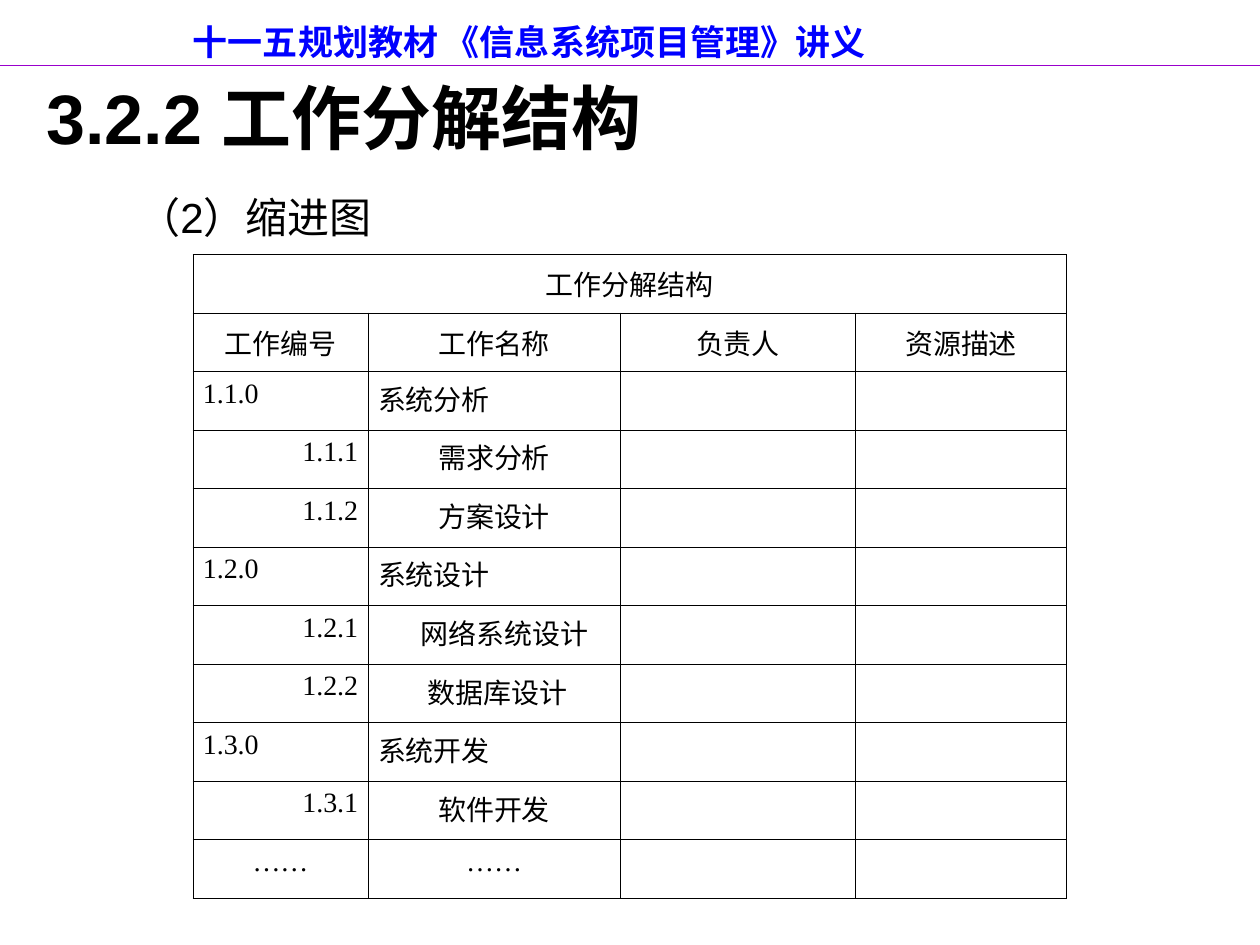
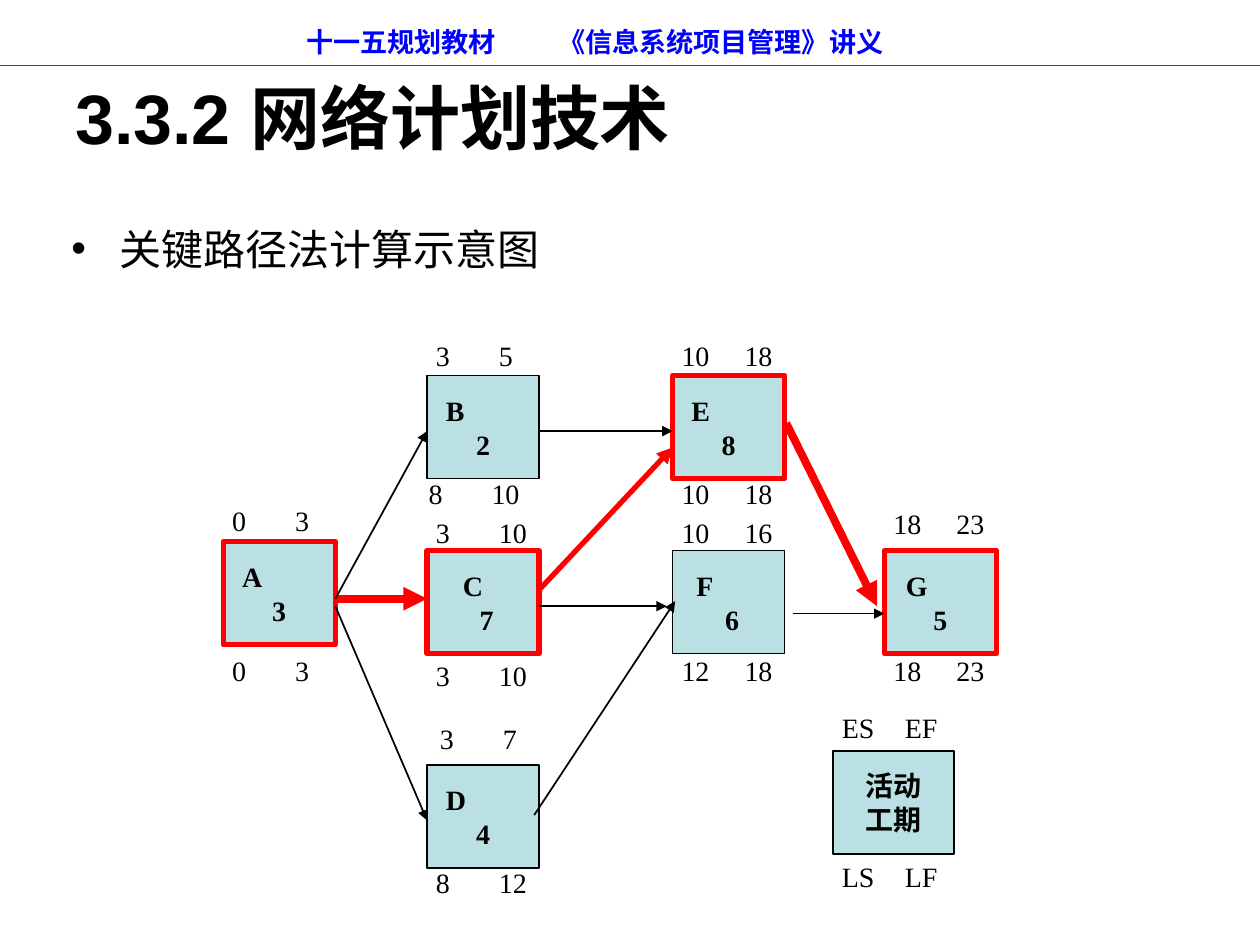
"""Build two lecture slides: an indented work breakdown table and a critical path network."""
import lxml.etree
import pptx
import pptx.dml.color
import pptx.enum.shapes
import pptx.enum.text
import pptx.oxml.ns
import pptx.util

Cm = pptx.util.Cm
Pt = pptx.util.Pt
ALIGN = pptx.enum.text.PP_ALIGN
ANCHOR = pptx.enum.text.MSO_ANCHOR

BLACK, BLUE, RED, PURPLE, PALE_TEAL = "000000", "0000FF", "FF0000", "9900CC", "BBE0E3"
SANS, SERIF = "Arial", "Times New Roman"

TABLE_TITLE = "工作分解结构"
TABLE_HEADINGS = ("工作编号", "工作名称", "负责人", "资源描述")
COLUMN_WIDTHS = (3.53, 5.08, 4.75, 4.25)
ROW_HEIGHT = 1.18
WORK_ITEMS = (
    ("1.1.0", "系统分析", 0),
    ("1.1.1", "需求分析", 0),
    ("1.1.2", "方案设计", 0),
    ("1.2.0", "系统设计", 0),
    ("1.2.1", "网络系统设计", 0.42),
    ("1.2.2", "数据库设计", 0.14),
    ("1.3.0", "系统开发", 0),
    ("1.3.1", "软件开发", 0),
    ("……", "……", 0),
)

NODE_WIDTH, NODE_HEIGHT = 2.26, 2.08
COLUMN_A, COLUMN_B, COLUMN_E, COLUMN_G, COLUMN_KEY = 4.5, 8.61, 13.56, 17.83, 16.79
NODES = (
    ("A", "3", COLUMN_A, 10.92, RED, 3, 0.2, 0),
    ("E", "8", COLUMN_E, 7.57, RED, 3, 0.2, 0),
    ("C", "7", COLUMN_B, 11.1, RED, 3, 0.54, 0.14),
    ("F", "6", COLUMN_E, 11.1, BLACK, 0.75, 0.3, 0.14),
    ("D", "4", COLUMN_B, 15.42, BLACK, 1, 0.2, 0),
    ("B", "2", COLUMN_B, 7.57, BLACK, 1, 0.2, 0),
    ("G", "5", COLUMN_G, 11.1, RED, 3, 0.25, 0),
)
ARROWS = (
    (6.76, 12.07, 8.61, 12.07, RED, 4.5),
    (10.87, 8.69, 13.56, 8.69, BLACK, 1),
    (15.98, 12.37, 17.83, 12.37, BLACK, 1),
    (10.87, 12.22, 13.44, 12.22, BLACK, 1),
    (6.76, 12.07, 8.61, 8.69, BLACK, 1),
    (6.76, 12.22, 8.61, 16.54, BLACK, 1),
    (15.85, 8.53, 17.68, 12.22, RED, 4.5),
    (10.77, 16.43, 13.61, 12.12, BLACK, 1),
    (10.87, 11.89, 13.56, 9.02, RED, 3),
)
TIME_TAB = 0.99
TIME_PAIRS = (
    ("0", "3", COLUMN_A, 10.06, 2.92, TIME_TAB),
    ("3", "5", COLUMN_B, 6.73, 3.33, 1.13),
    ("3", "10", COLUMN_B, 10.29, 3.33, TIME_TAB),
    ("3", "7", 8.69, 14.45, 2.49, TIME_TAB),
    ("10", "16", COLUMN_E, 10.29, NODE_WIDTH, TIME_TAB),
    ("10", "18", COLUMN_E, 6.73, NODE_WIDTH, TIME_TAB),
    ("18", "23", COLUMN_G, 10.11, NODE_WIDTH, TIME_TAB),
    ("18", "23", COLUMN_G, 13.08, NODE_WIDTH, TIME_TAB),
    ("12", "18", COLUMN_E, 13.08, NODE_WIDTH, TIME_TAB),
    ("10", "18", COLUMN_E, 9.5, NODE_WIDTH, TIME_TAB),
    ("8", "10", 8.46, 9.5, 2.72, 1.13),
    ("3", "10", COLUMN_B, 13.18, NODE_WIDTH, 0.85),
    ("8", "12", COLUMN_B, 17.35, 2.72, TIME_TAB),
    ("0", "3", COLUMN_A, 13.08, 2.92, TIME_TAB),
    ("ES", "EF", COLUMN_KEY, 14.22, 2.44, 1.08),
    ("LS", "LF", COLUMN_KEY, 17.22, 2.44, 1.08),
)


def colour(hex_text):
    """Return the colour for a hex string."""
    return pptx.dml.color.RGBColor.from_string(hex_text)


def add_element(parent, tag, **attributes):
    """Append a drawing element with the given attributes."""
    return lxml.etree.SubElement(parent, pptx.oxml.ns.qn(tag), attributes)


def style_paragraph(paragraph, size, font, bold=False, ink=BLACK, align=ALIGN.LEFT,
                    margin=0, indent=0, bullet=None, tab=None):
    """Set the layout of a paragraph and the font of its runs."""
    paragraph.alignment = align
    properties = paragraph._p.get_or_add_pPr()
    properties.set("marL", str(Cm(margin)))
    properties.set("indent", str(Cm(indent)))
    if bullet:
        add_element(properties, "a:buFont", typeface=SANS)
        add_element(properties, "a:buChar", char=bullet)
    else:
        add_element(properties, "a:buNone")
    if tab:
        tab_list = add_element(properties, "a:tabLst")
        add_element(tab_list, "a:tab", pos=str(Cm(tab)), algn="l")
    for run in paragraph.runs:
        run.font.size = Pt(size)
        run.font.name = font
        run.font.bold = bold
        run.font.color.rgb = colour(ink)


def set_margins(target, horizontal, vertical):
    """Set equal side margins and equal top and bottom margins."""
    target.margin_left = target.margin_right = Cm(horizontal)
    target.margin_top = target.margin_bottom = Cm(vertical)


def add_text(slide, text, left, top, width, height, size, font=SANS,
             anchor=ANCHOR.TOP, margins=(0.25, 0.13), **style):
    """Add a one-paragraph text box and return its text frame."""
    box = slide.shapes.add_textbox(Cm(left), Cm(top), Cm(width), Cm(height))
    frame = box.text_frame
    frame.word_wrap = True
    frame.vertical_anchor = anchor
    set_margins(frame, *margins)
    frame.text = text
    style_paragraph(frame.paragraphs[0], size, font, **style)
    return frame


def add_line(slide, start_x, start_y, end_x, end_y, ink, width, arrow=False):
    """Add a straight line, with an arrowhead at its end if wanted."""
    line = slide.shapes.add_connector(pptx.enum.shapes.MSO_CONNECTOR.STRAIGHT,
                                      Cm(start_x), Cm(start_y), Cm(end_x), Cm(end_y))
    line.line.color.rgb = colour(ink)
    line.line.width = Pt(width)
    properties = line._element.spPr
    if arrow:
        add_element(properties.find(pptx.oxml.ns.qn("a:ln")), "a:tailEnd", type="triangle")
    add_element(properties, "a:effectLst")


def add_frame(slide, title, title_left, title_width, header_size, first_start, second_start):
    """Add the running header, its rule and the slide title."""
    add_text(slide, title, title_left, 0.76, title_width, 3.18, 40,
             anchor=ANCHOR.MIDDLE, bold=True)
    header = add_text(slide, "十一五规划教材\t《信息系统项目管理》讲义", 2.54, 0.36, 22.86, 0.97,
                      header_size, anchor=ANCHOR.MIDDLE, bold=True, ink=BLUE,
                      tab=second_start - first_start)
    header.margin_left = Cm(first_start - 2.54)
    add_line(slide, 0, 1.32, 25.4, 1.32, PURPLE, 0.75)


def style_cell(cell):
    """Give a table cell thin black borders, no fill and narrow margins."""
    set_margins(cell, 0.2, 0.13)
    cell.fill.background()
    properties = cell._tc.get_or_add_tcPr()
    for position, tag in enumerate(("a:lnL", "a:lnR", "a:lnT", "a:lnB")):
        border = add_element(properties, tag, w=str(Pt(0.45)))
        fill = add_element(border, "a:solidFill")
        add_element(fill, "a:srgbClr", val=BLACK)
        properties.insert(position, border)


def fill_cell(cell, text, align, margin=0):
    """Write one line of text into a table cell."""
    cell.text_frame.text = text
    style_paragraph(cell.text_frame.paragraphs[0], 16, SERIF, align=align, margin=margin)


def item_alignment(number):
    """Return the number and name alignments for the level of a work item."""
    if number.endswith(".0"):
        return ALIGN.LEFT, ALIGN.LEFT
    if number[0].isdigit():
        return ALIGN.RIGHT, ALIGN.CENTER
    return ALIGN.CENTER, ALIGN.CENTER


def add_work_table(slide):
    """Add the work breakdown table."""
    row_count = len(WORK_ITEMS) + 2
    table = slide.shapes.add_table(row_count, len(COLUMN_WIDTHS), Cm(3.89), Cm(5.13),
                                   Cm(sum(COLUMN_WIDTHS)), Cm(ROW_HEIGHT * row_count)).table
    table.first_row = table.horz_banding = False
    for column, width in zip(table.columns, COLUMN_WIDTHS):
        column.width = Cm(width)
    for row in table.rows:
        row.height = Cm(ROW_HEIGHT)
        for cell in row.cells:
            style_cell(cell)
    table.cell(0, 0).merge(table.cell(0, len(COLUMN_WIDTHS) - 1))
    fill_cell(table.cell(0, 0), TABLE_TITLE, ALIGN.CENTER)
    table.cell(0, 0).vertical_anchor = ANCHOR.MIDDLE
    for column, heading in enumerate(TABLE_HEADINGS):
        fill_cell(table.cell(1, column), heading, ALIGN.CENTER)
        table.cell(1, column).vertical_anchor = ANCHOR.MIDDLE
    for row, (number, name, margin) in enumerate(WORK_ITEMS, start=2):
        number_align, name_align = item_alignment(number)
        fill_cell(table.cell(row, 0), number, number_align)
        fill_cell(table.cell(row, 1), name, name_align, margin)


def add_activity(slide, name, duration, left, top, ink, line_width,
                 name_margin=0, duration_margin=0, width=NODE_WIDTH, name_align=ALIGN.LEFT):
    """Add an activity box with its name above its duration."""
    box = slide.shapes.add_shape(pptx.enum.shapes.MSO_SHAPE.RECTANGLE,
                                 Cm(left), Cm(top), Cm(width), Cm(NODE_HEIGHT))
    box.shadow.inherit = False
    box.fill.solid()
    box.fill.fore_color.rgb = colour(PALE_TEAL)
    box.line.color.rgb = colour(ink)
    box.line.width = Pt(line_width)
    frame = box.text_frame
    frame.word_wrap = True
    frame.vertical_anchor = ANCHOR.MIDDLE
    set_margins(frame, 0.18, 0.1)
    frame.text = f"{name}\n{duration}"
    name_line, duration_line = frame.paragraphs
    style_paragraph(name_line, 16, SERIF, bold=True, align=name_align, margin=name_margin)
    style_paragraph(duration_line, 16, SERIF, bold=True, align=ALIGN.CENTER,
                    margin=duration_margin)


def add_network(slide):
    """Add the activities, arrows, key and time pairs of the network."""
    for node in NODES:
        add_activity(slide, *node)
    for arrow in ARROWS:
        add_line(slide, *arrow, arrow=True)
    add_activity(slide, "活动", "工期", COLUMN_KEY, 15.14, BLACK, 1,
                 width=2.44, name_align=ALIGN.CENTER)
    for early, late, left, top, width, tab in TIME_PAIRS:
        add_text(slide, f"{early}\t{late}", left, top, width, 1.07, 16, SERIF,
                 margins=(0.18, 0.1), tab=tab)


def main():
    """Build and save the presentation."""
    presentation = pptx.Presentation()
    presentation.slide_width, presentation.slide_height = Cm(25.4), Cm(19.05)
    blank = presentation.slide_layouts[6]

    breakdown = presentation.slides.add_slide(blank)
    add_frame(breakdown, "3.2.2 工作分解结构", 0.69, 24.21, 20, 3.89, 15.54)
    add_text(breakdown, "（2）缩进图", 1.27, 3.73, 11.23, 12.57, 24, margin=2.06, indent=-0.79)
    add_work_table(breakdown)

    critical_path = presentation.slides.add_slide(blank)
    add_frame(critical_path, "3.3.2 网络计划技术", 1.27, 22.86, 15.5, 6.17, 15.21)
    add_text(critical_path, "关键路径法计算示意图", 1.19, 4.37, 22.86, 12.57, 24,
             margin=0.97, indent=-0.97, bullet="•")
    add_network(critical_path)

    presentation.save("out.pptx")


if __name__ == "__main__":
    main()
